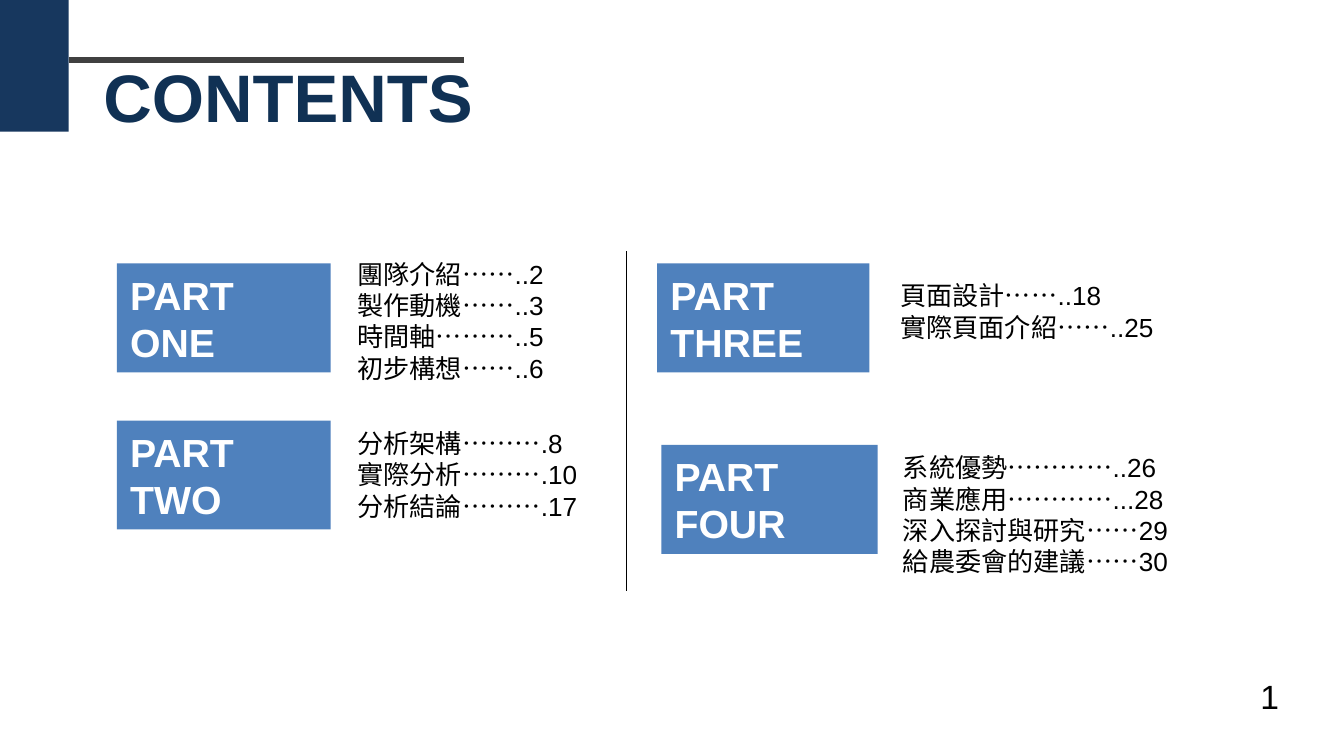
from lxml import etree
from pptx import Presentation
from pptx.dml.color import RGBColor
from pptx.enum.shapes import MSO_CONNECTOR, MSO_SHAPE
from pptx.enum.text import MSO_ANCHOR, MSO_AUTO_SIZE, PP_ALIGN
from pptx.oxml.ns import qn
from pptx.util import Cm, Pt

STRAIGHT = MSO_CONNECTOR.STRAIGHT
RECTANGLE = MSO_SHAPE.RECTANGLE
TOP, MIDDLE = MSO_ANCHOR.TOP, MSO_ANCHOR.MIDDLE
LEFT = PP_ALIGN.LEFT
NO_FIT = MSO_AUTO_SIZE.NONE

COMPARISON_LAYOUT = 4
FONT = "Arial"
COLORS = {
    "title": "103154",
    "corner": "17375E",
    "rule": "404040",
    "part": "4F81BD",
    "white": "FFFFFF",
    "black": "000000",
}

# Part name, its box, its list's box (left, top, width, height in cm), entries
PARTS = [
    ("PART ONE", (2.21, 4.98, 4.04, 2.06), (6.5, 4.75, 8.64, 2.64),
     ["團隊介紹……..2", "製作動機……..3", "時間軸………..5", "初步構想……..6"]),
    ("PART TWO", (2.21, 7.95, 4.04, 2.06), (6.5, 7.95, 8.64, 2.06),
     ["分析架構……….8", "實際分析……….10", "分析結論……….17"]),
    ("PART THREE", (12.42, 4.98, 4.01, 2.06), (16.76, 5.16, 8.64, 1.45),
     ["頁面設計……..18", "實際頁面介紹……..25"]),
    ("PART FOUR", (12.5, 8.41, 4.09, 2.06), (16.81, 8.41, 8.64, 2.64),
     ["系統優勢…………..26", "商業應用…………...28",
      "深入探討與研究……29", "給農委會的建議……30"]),
]


def color(name):
    return RGBColor.from_string(COLORS[name])


def place(shape, box):
    shape.left, shape.top, shape.width, shape.height = (Cm(v) for v in box)


def write(shape, lines, size, ink="black", bold=False, anchor=TOP, wrap=True):
    """Fill a shape with one unbulleted, left-aligned paragraph per line."""
    frame = shape.text_frame
    frame.auto_size = NO_FIT
    frame.word_wrap = wrap
    frame.vertical_anchor = anchor
    for index, line in enumerate(lines):
        para = frame.add_paragraph() if index else frame.paragraphs[0]
        para.alignment = LEFT
        para.space_before = Pt(0)
        properties = para._p.get_or_add_pPr()
        properties.set("marL", "0")
        properties.set("indent", "0")
        etree.SubElement(properties, qn("a:buNone"))
        span = para.add_run()
        span.text = line
        span.font.name = FONT
        span.font.size = Pt(size)
        span.font.bold = bold
        span.font.color.rgb = color(ink)


def add_rectangle(slide, box, fill):
    shape = slide.shapes.add_shape(RECTANGLE, *(Cm(v) for v in box))
    shape.shadow.inherit = False
    shape.fill.solid()
    shape.fill.fore_color.rgb = color(fill)
    shape.line.fill.background()
    return shape


def add_line(slide, start, end, ink, width):
    line = slide.shapes.add_connector(STRAIGHT, *(Cm(v) for v in start + end))
    line.line.color.rgb = color(ink)
    line.line.width = Pt(width)
    etree.SubElement(line._element.spPr, qn("a:effectLst"))


def add_part(slide, list_holder, name, name_box, list_box, entries):
    label = add_rectangle(slide, name_box, "part")
    write(label, [name], 21, ink="white", bold=True, anchor=MIDDLE)
    place(list_holder, list_box)
    write(list_holder, entries, 14)


def main():
    deck = Presentation()
    deck.slide_width, deck.slide_height = Cm(25.4), Cm(14.29)
    slide = deck.slides.add_slide(deck.slide_layouts[COMPARISON_LAYOUT])

    title, *list_holders = slide.placeholders
    place(title, (1.7, 0.91, 7.57, 1.8))
    write(title, ["CONTENTS"], 36, ink="title", bold=True, anchor=MIDDLE,
          wrap=False)

    for list_holder, part in zip(list_holders, PARTS):
        add_part(slide, list_holder, *part)

    add_line(slide, (11.84, 4.75), (11.84, 11.18), "black", 1)
    add_rectangle(slide, (0, 0, 1.3, 2.49), "corner")
    add_line(slide, (1.3, 1.14), (8.76, 1.14), "rule", 3)

    page_box = (23.57, 12.65, 0.86, 1.02)
    page_number = slide.shapes.add_textbox(*(Cm(v) for v in page_box))
    write(page_number, ["1"], 18, wrap=False)

    deck.save("out.pptx")


if __name__ == "__main__":
    main()
